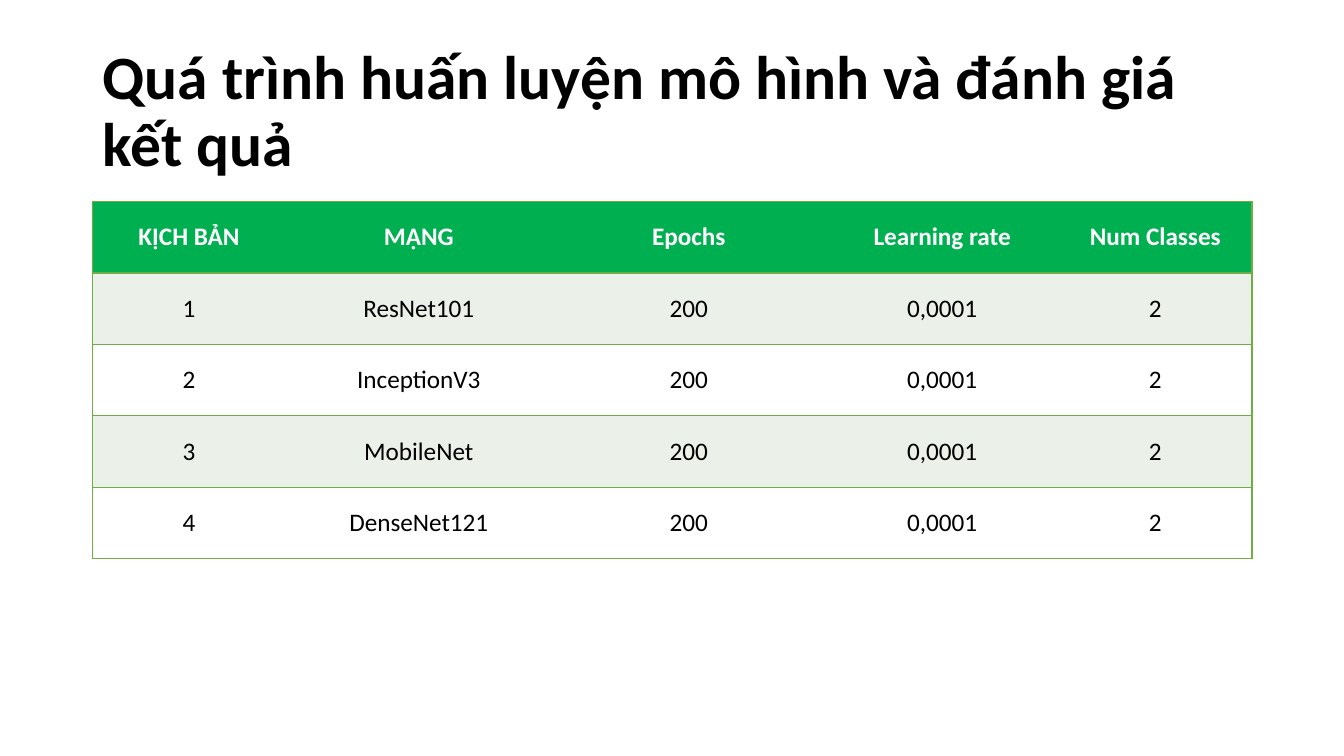
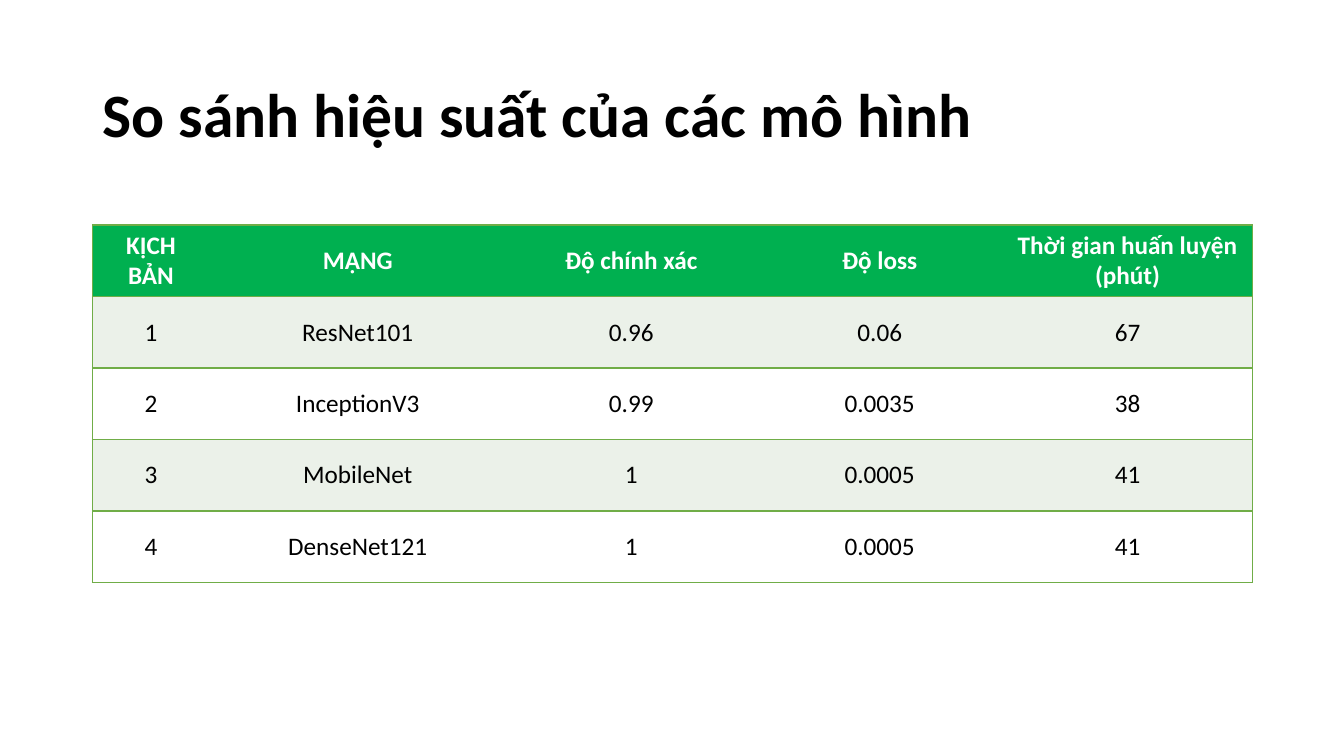
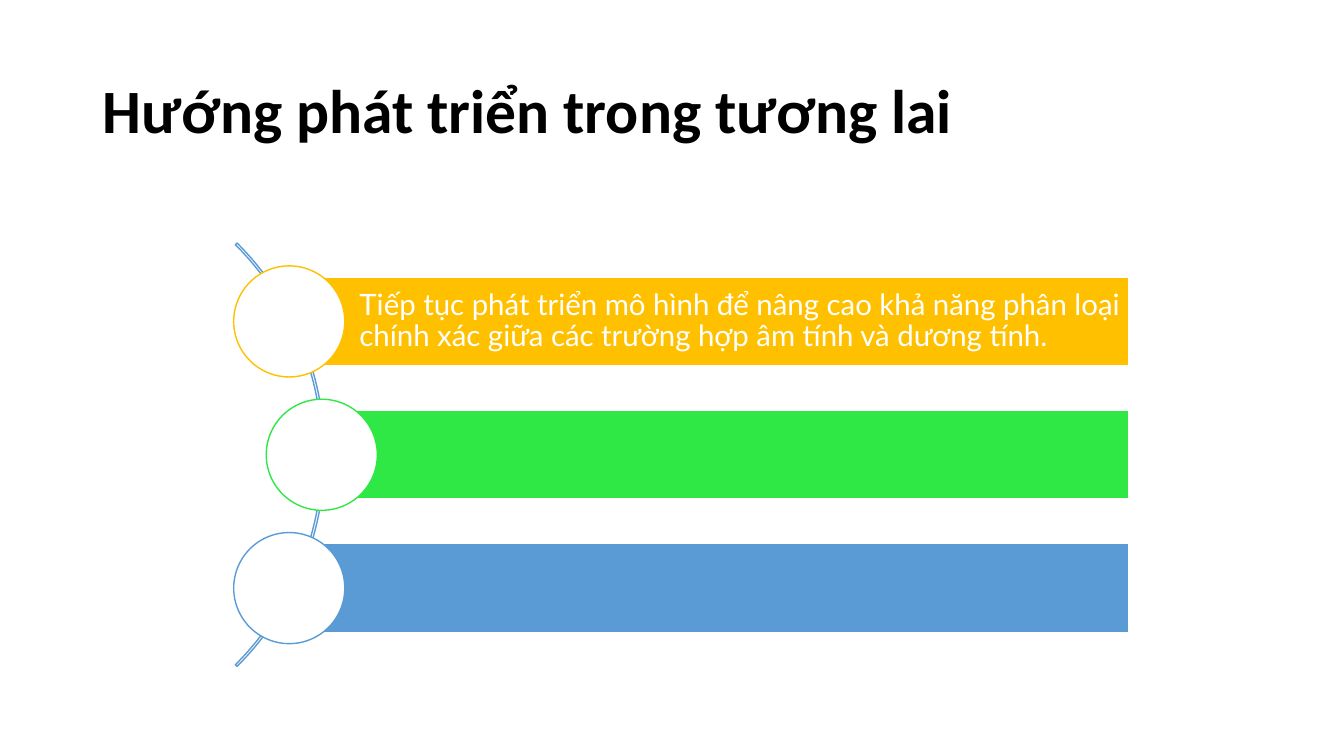
from dataclasses import dataclass

from lxml import etree
from pptx import Presentation
from pptx.dml.color import RGBColor
from pptx.enum.shapes import MSO_SHAPE
from pptx.enum.text import MSO_ANCHOR, MSO_AUTO_SIZE, PP_ALIGN
from pptx.oxml.ns import qn
from pptx.util import Cm, Pt

RECTANGLE, OVAL, ARC = MSO_SHAPE.RECTANGLE, MSO_SHAPE.OVAL, MSO_SHAPE.BLOCK_ARC
LEFT, CENTER = PP_ALIGN.LEFT, PP_ALIGN.CENTER
MIDDLE = MSO_ANCHOR.MIDDLE
NO_AUTOFIT = MSO_AUTO_SIZE.NONE
TITLE_ONLY = 5
PLAIN_TABLE_STYLE = "{2D5ABB26-0587-4C30-8999-92F81FD0307C}"


@dataclass(frozen=True)
class Theme:
    # Colours
    ink: str = "000000"
    paper: str = "FFFFFF"
    header: str = "00B050"
    band: str = "EBF1E9"
    border: str = "70AD47"
    amber: str = "FFC000"
    lime: str = "30E845"
    blue: str = "5B9BD5"
    # Fonts, type sizes and line width in points
    font: str = "Calibri"
    bar_font: str = "Lato"
    title_size: int = 44
    table_size: int = 18
    bar_size: int = 21
    line: int = 1
    # Shared content column in cm
    left: float = 2.33
    width: float = 29.21


def write(frame, text, *, font, size, color, bold=False, align=LEFT, spacing=1.0):
    """Fill a text frame with one formatted paragraph."""
    frame.word_wrap = True
    para = frame.paragraphs[0]
    para.alignment = align
    para.line_spacing = spacing
    span = para.add_run()
    span.text = text
    span.font.name = font
    span.font.size = Pt(size)
    span.font.bold = bold
    span.font.color.rgb = RGBColor.from_string(color)


def add_border(cell, sides, color, width):
    """Draw solid lines on the given sides; call before filling the cell."""
    properties = cell._tc.get_or_add_tcPr()
    for side in sides:
        line = etree.SubElement(properties, qn(f"a:ln{side}"), w=str(Pt(width)))
        fill = etree.SubElement(line, qn("a:solidFill"))
        etree.SubElement(fill, qn("a:srgbClr"), val=color)


class Deck:
    def __init__(self, theme):
        self.theme = theme
        self.file = Presentation()
        self.file.slide_width, self.file.slide_height = Cm(33.87), Cm(19.05)
        self.page = None

    def add_page(self, title, top=1.01):
        theme = self.theme
        self.page = self.file.slides.add_slide(self.file.slide_layouts[TITLE_ONLY])
        box = self.page.shapes.title
        box.left, box.top = Cm(theme.left), Cm(top)
        box.width, box.height = Cm(theme.width), Cm(3.68)
        box.text_frame.auto_size = NO_AUTOFIT
        box.text_frame.vertical_anchor = MIDDLE
        write(box.text_frame, title, font=theme.font, size=theme.title_size,
              color=theme.ink, bold=True, spacing=0.9)

    def add_table(self, rows, column_widths, top, row_height=1.8):
        theme = self.theme
        table = self.page.shapes.add_table(
            len(rows), len(column_widths), Cm(theme.left), Cm(top),
            Cm(theme.width), Cm(row_height * len(rows))).table
        table._tbl.tblPr.find(qn("a:tableStyleId")).text = PLAIN_TABLE_STYLE
        table.horz_banding = False
        for column, width in zip(table.columns, column_widths):
            column.width = Cm(width)
        last = len(column_widths) - 1
        for row_index, values in enumerate(rows):
            is_header = row_index == 0
            table.rows[row_index].height = Cm(row_height)
            band = theme.band if row_index % 2 else theme.paper
            for column_index, value in enumerate(values):
                cell = table.cell(row_index, column_index)
                sides = "L" * (column_index == 0) + "R" * (column_index == last) + "TB"
                add_border(cell, sides, theme.border, theme.line)
                cell.fill.solid()
                cell.fill.fore_color.rgb = RGBColor.from_string(
                    theme.header if is_header else band)
                cell.vertical_anchor = MIDDLE
                write(cell.text_frame, value, font=theme.font, size=theme.table_size,
                      color=theme.paper if is_header else theme.ink,
                      bold=is_header, align=CENTER)

    def add_shape(self, kind, left, top, width, height, line, fill=None):
        shape = self.page.shapes.add_shape(
            kind, Cm(left), Cm(top), Cm(width), Cm(height))
        shape.shadow.inherit = False
        if fill:
            shape.fill.solid()
            shape.fill.fore_color.rgb = RGBColor.from_string(fill)
        else:
            shape.fill.background()
        shape.line.color.rgb = RGBColor.from_string(line)
        shape.line.width = Pt(self.theme.line)
        return shape

    def add_arc(self, center_x, center_y, diameter, thickness):
        arc = self.add_shape(ARC, center_x - diameter / 2, center_y - diameter / 2,
                             diameter, diameter, self.theme.blue)
        # Angles run from 315 to 45 degrees, in units of 0.6 per degree
        arc.adjustments[0] = 315 * 0.6
        arc.adjustments[1] = 45 * 0.6
        arc.adjustments[2] = thickness / diameter

    def add_bar(self, left, center_y, color, text, right=28.45, height=2.24, dot=2.8):
        """A bar that starts at the centre of its round marker."""
        theme = self.theme
        bar = self.add_shape(RECTANGLE, left, center_y - height / 2,
                             right - left, height, theme.paper, color)
        if text:
            frame = bar.text_frame
            frame.vertical_anchor = MIDDLE
            frame.margin_left = Cm(1.77)
            frame.margin_right = frame.margin_top = frame.margin_bottom = Cm(0.14)
            write(frame, text, font=theme.bar_font, size=theme.bar_size,
                  color=theme.paper, spacing=0.9)
        self.add_shape(OVAL, left - dot / 2, center_y - dot / 2, dot, dot,
                       color, theme.paper)


def main():
    theme = Theme()
    deck = Deck(theme)
    networks = ["ResNet101", "InceptionV3", "MobileNet", "DenseNet121"]

    # Training settings
    deck.add_page("Quá trình huấn luyện mô hình và đánh giá kết quả")
    settings = [["KỊCH BẢN", "MẠNG", "Epochs", "Learning rate", "Num Classes"]]
    settings += [[str(number), network, "200", "0,0001", "2"]
                 for number, network in enumerate(networks, 1)]
    deck.add_table(settings, [4.87, 6.71, 6.9, 5.87, 4.87], top=5.08)

    # Model comparison
    deck.add_page("So sánh hiệu suất của các mô hình", top=1.11)
    scores = [("0.96", "0.06", "67"), ("0.99", "0.0035", "38"),
              ("1", "0.0005", "41"), ("1", "0.0005", "41")]
    results = [["KỊCH BẢN", "MẠNG", "Độ chính xác", "Độ loss",
                "Thời gian huấn luyện (phút)"]]
    results += [[str(number), network, *score]
                for number, (network, score) in enumerate(zip(networks, scores), 1)]
    deck.add_table(results, [2.95, 7.47, 6.32, 6.2, 6.29], top=5.67)

    # Future work: bars spaced evenly around the arc's centre line
    deck.add_page("Hướng phát triển trong tương lai")
    center_y, pitch = 11.46, 3.36
    deck.add_arc(0.64, center_y, diameter=15.09, thickness=0.06)
    goal = ("Tiếp tục phát triển mô hình để nâng cao khả năng phân loại "
            "chính xác giữa các trường hợp âm tính và dương tính.")
    bars = [(7.29, theme.amber, goal), (8.11, theme.lime, ""), (7.29, theme.blue, "")]
    for step, (left, color, text) in enumerate(bars, -1):
        deck.add_bar(left, center_y + step * pitch, color, text)

    deck.file.save("out.pptx")


if __name__ == "__main__":
    main()
